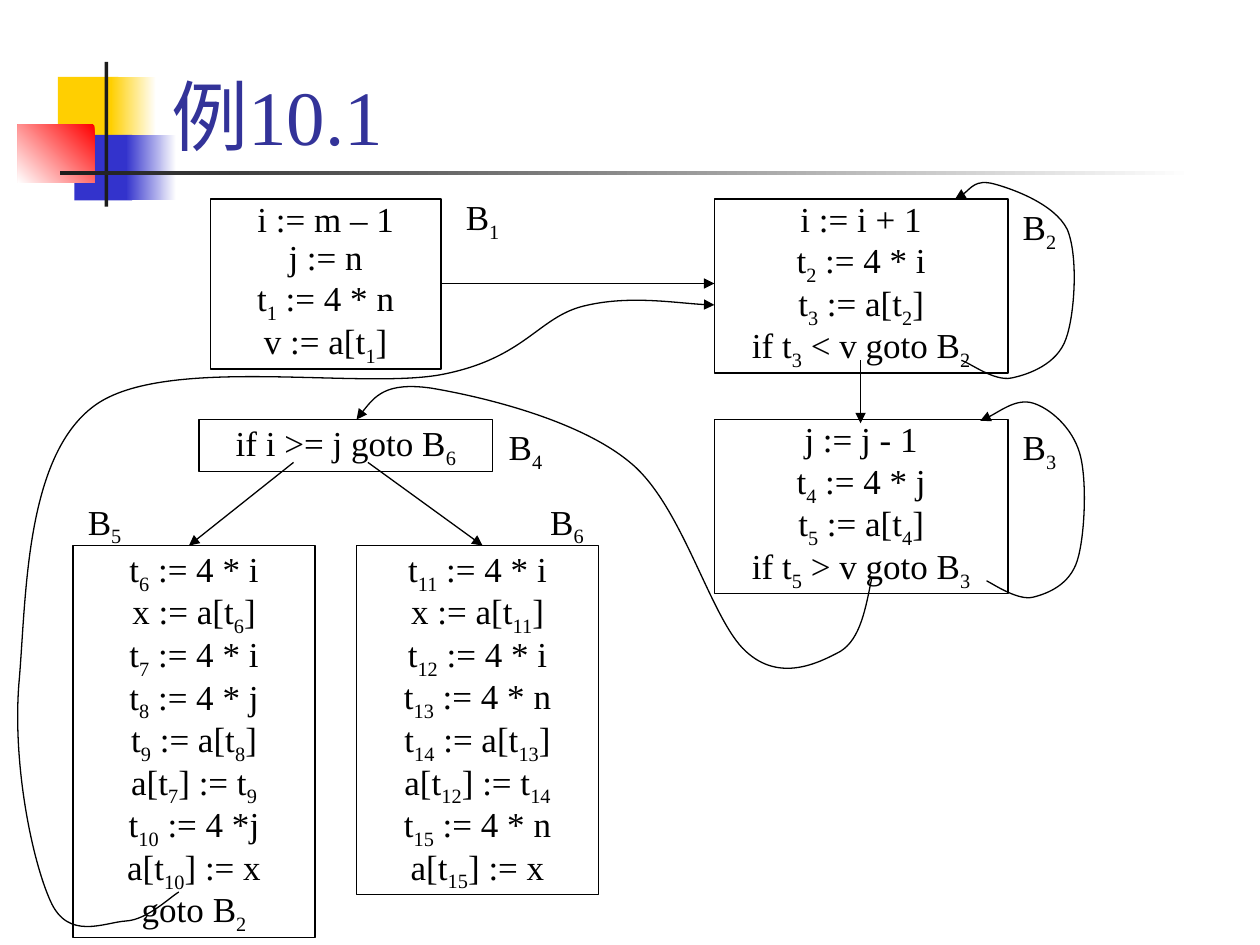
from itertools import chain

from lxml.etree import SubElement
from pptx import Presentation
from pptx.dml.color import RGBColor
from pptx.enum.shapes import MSO_CONNECTOR, MSO_SHAPE
from pptx.enum.text import MSO_ANCHOR, PP_ALIGN
from pptx.oxml.ns import qn
from pptx.util import Inches, Pt


def colour(hex_string):
    return RGBColor.from_string(hex_string)


def apply_format(target, values):
    for name, value in values.items():
        setattr(target, name, value)


class FlowSlide:
    INK = "000000"
    FONT = {"name": "Times New Roman", "size": Pt(20)}
    TITLE_FONT = {"name": "Times New Roman", "size": Pt(44)}
    FRAME = {
        "word_wrap": True, "vertical_anchor": MSO_ANCHOR.TOP,
        "margin_left": Inches(0.1), "margin_right": Inches(0.1),
        "margin_top": Inches(0.05), "margin_bottom": Inches(0.05),
    }
    CODE = {"alignment": PP_ALIGN.CENTER, "line_spacing": 0.8}
    LABEL = {"alignment": PP_ALIGN.CENTER}

    def __init__(self, slide):
        self.slide = slide
        self.shapes = slide.shapes

    def set_lines(self, frame, lines, paragraph_format, font, ink=INK):
        """Fill a frame with lines; the parts in braces are subscripts."""
        apply_format(frame, self.FRAME)
        for number, line in enumerate(lines):
            paragraph = frame.add_paragraph() if number else frame.paragraphs[0]
            apply_format(paragraph, paragraph_format)
            paragraph.space_before = Pt(2.5 if number else 0)
            for part, text in enumerate(line.replace("}", "{").split("{")):
                if not text:
                    continue
                run = paragraph.add_run()
                run.text = text
                apply_format(run.font, font)
                run.font.color.rgb = colour(ink)
                if part % 2:
                    run.font._element.set("baseline", "-25000")

    def rectangle(self, place):
        shape = self.shapes.add_shape(MSO_SHAPE.RECTANGLE, *map(Inches, place))
        shape.shadow.inherit = False
        return shape

    def ornament(self, place, first, last=None, angle=180):
        shape = self.rectangle(place)
        shape.line.fill.background()
        if last is None:
            shape.fill.solid()
            shape.fill.fore_color.rgb = colour(first)
            return
        shape.fill.gradient()
        shape.fill.gradient_angle = angle
        for stop, tint in zip(shape.fill.gradient_stops, (first, last)):
            stop.color.rgb = colour(tint)

    def title(self, place, text):
        frame = self.shapes.add_textbox(*map(Inches, place)).text_frame
        self.set_lines(frame, [text], {}, self.TITLE_FONT, "333399")
        frame.vertical_anchor = MSO_ANCHOR.BOTTOM

    def block(self, place, lines):
        shape = self.rectangle(place)
        shape.fill.background()
        self.outline(shape)
        self.set_lines(shape.text_frame, lines, self.CODE, self.FONT)

    def label(self, left, top, number):
        box = self.shapes.add_textbox(*map(Inches, (left, top, 0.5, 0.48)))
        self.set_lines(box.text_frame, [f"B{{{number}}}"], self.LABEL, self.FONT)

    def outline(self, shape, arrow=False):
        shape.line.color.rgb = colour(self.INK)
        shape.line.width = Pt(0.75)
        if arrow:
            SubElement(shape.line._get_or_add_ln(), qn("a:tailEnd"), type="triangle")

    def arrow(self, start, end):
        line = self.shapes.add_connector(
            MSO_CONNECTOR.STRAIGHT, *map(Inches, start + end))
        self.outline(line, arrow=True)
        SubElement(line._element.spPr, qn("a:effectLst"))

    def curve(self, start, *segments):
        """Draw Bezier segments, each given as three points."""
        builder = self.shapes.build_freeform(*map(Inches, start))
        points = [tuple(map(Inches, point)) for point in chain(*segments)]
        builder.add_line_segments(points, close=False)
        shape = builder.convert_to_shape()
        route = shape._element.spPr.find(".//" + qn("a:path"))
        corners = route.findall(qn("a:lnTo"))
        for index in range(0, len(corners), 3):
            bezier = SubElement(route, qn("a:cubicBezTo"))
            for corner in corners[index:index + 3]:
                bezier.append(corner[0])
                route.remove(corner)
        shape.shadow.inherit = False
        shape.fill.background()
        self.outline(shape, arrow=True)


def main():
    deck = Presentation()
    deck.slide_width, deck.slide_height = Inches(10), Inches(7.5)
    flow = FlowSlide(deck.slides.add_slide(deck.slide_layouts[6]))

    # Corner ornament and title
    flow.ornament((0.46, 0.61, 0.48, 0.52), "FFCF01")
    flow.ornament((0.88, 0.61, 0.36, 0.52), "FFFFFF", "FFCF01")
    flow.ornament((0.59, 1.07, 0.46, 0.52), "3333CC")
    flow.ornament((1, 1.07, 0.4, 0.52), "FFFFFF", "3333CC")
    flow.ornament((0.14, 0.99, 0.61, 0.46), "FF0000", "FFFFFF", 225)
    flow.ornament((0.83, 0.49, 0.03, 1.15), "1C1C1C")
    flow.ornament((0.48, 1.36, 9, 0.03), "FFFFFF", "1C1C1C")
    flow.title((1.26, 0.08, 8.52, 1.25), "例10.1")

    # Basic blocks
    flow.block((1.67, 1.58, 1.83, 1.35),
               ["i := m – 1", "j := n", "t{1} := 4 * n", "v := a[t{1}]"])
    flow.block((5.67, 1.58, 2.33, 1.38),
               ["i := i + 1", "t{2} := 4 * i", "t{3} := a[t{2}]",
                "if t{3} < v goto B{2}"])
    flow.block((5.67, 3.33, 2.33, 1.38),
               ["j := j - 1", "t{4} := 4 * j", "t{5} := a[t{4}]",
                "if t{5} > v goto B{3}"])
    flow.block((1.58, 3.33, 2.33, 0.41), ["if i >= j goto B{6}"])
    flow.block((0.58, 4.33, 1.92, 3.11),
               ["t{6} := 4 * i", "x := a[t{6}]", "t{7} := 4 * i",
                "t{8} := 4 * j", "t{9} := a[t{8}]", "a[t{7}] := t{9}",
                "t{10} := 4 *j", "a[t{10}] := x", "goto B{2}"])
    flow.block((2.83, 4.33, 1.92, 2.77),
               ["t{11} := 4 * i", "x := a[t{11}]", "t{12} := 4 * i",
                "t{13} := 4 * n", "t{14} := a[t{13}]", "a[t{12}] := t{14}",
                "t{15} := 4 * n", "a[t{15}] := x"])

    # Straight flow
    flow.arrow((3.5, 2.25), (5.67, 2.25))
    flow.arrow((6.83, 2.86), (6.83, 3.36))
    flow.arrow((2.33, 3.67), (1.5, 4.33))
    flow.arrow((2.92, 3.67), (3.83, 4.33))

    # Block names
    corners = [(3.58, 1.5), (8, 1.58), (8, 3.33),
               (3.92, 3.33), (0.58, 3.92), (4.25, 3.92)]
    for number, (left, top) in enumerate(corners, 1):
        flow.label(left, top, number)

    # B3 to B4
    flow.curve((6.92, 4.58),
               [(6.87, 4.83), (6.83, 5.07), (6.67, 5.17)],
               [(6.5, 5.26), (6.19, 5.42), (5.92, 5.17)],
               [(5.64, 4.92), (5.42, 4.01), (5, 3.67)],
               [(4.58, 3.32), (3.78, 3.14), (3.42, 3.08)],
               [(3.06, 3.03), (2.94, 3.18), (2.83, 3.33)])
    # B3 loop
    flow.curve((7.83, 4.61),
               [(7.89, 4.64), (8.08, 4.77), (8.2, 4.74)],
               [(8.32, 4.71), (8.49, 4.64), (8.55, 4.45)],
               [(8.61, 4.26), (8.63, 3.81), (8.57, 3.6)],
               [(8.51, 3.39), (8.33, 3.24), (8.2, 3.2)],
               [(8.07, 3.16), (7.87, 3.31), (7.78, 3.34)])
    # B2 loop
    flow.curve((7.63, 2.86),
               [(7.7, 2.88), (7.89, 3.03), (8.03, 3)],
               [(8.17, 2.97), (8.39, 2.89), (8.46, 2.69)],
               [(8.53, 2.5), (8.56, 2.03), (8.47, 1.82)],
               [(8.37, 1.62), (8.04, 1.5), (7.89, 1.46)],
               [(7.74, 1.42), (7.65, 1.56), (7.58, 1.58)])
    # B5 to B2
    flow.curve((1.42, 7.08),
               [(1.35, 7.12), (1.17, 7.3), (1, 7.31)],
               [(0.83, 7.32), (0.54, 7.47), (0.4, 7.15)],
               [(0.26, 6.84), (0.1, 6.09), (0.15, 5.43)],
               [(0.21, 4.77), (0.19, 3.63), (0.75, 3.22)],
               [(1.31, 2.81), (2.88, 3.1), (3.52, 2.97)],
               [(4.17, 2.84), (4.27, 2.52), (4.63, 2.43)],
               [(4.99, 2.34), (5.45, 2.42), (5.67, 2.42)])

    deck.save("out.pptx")


if __name__ == "__main__":
    main()
